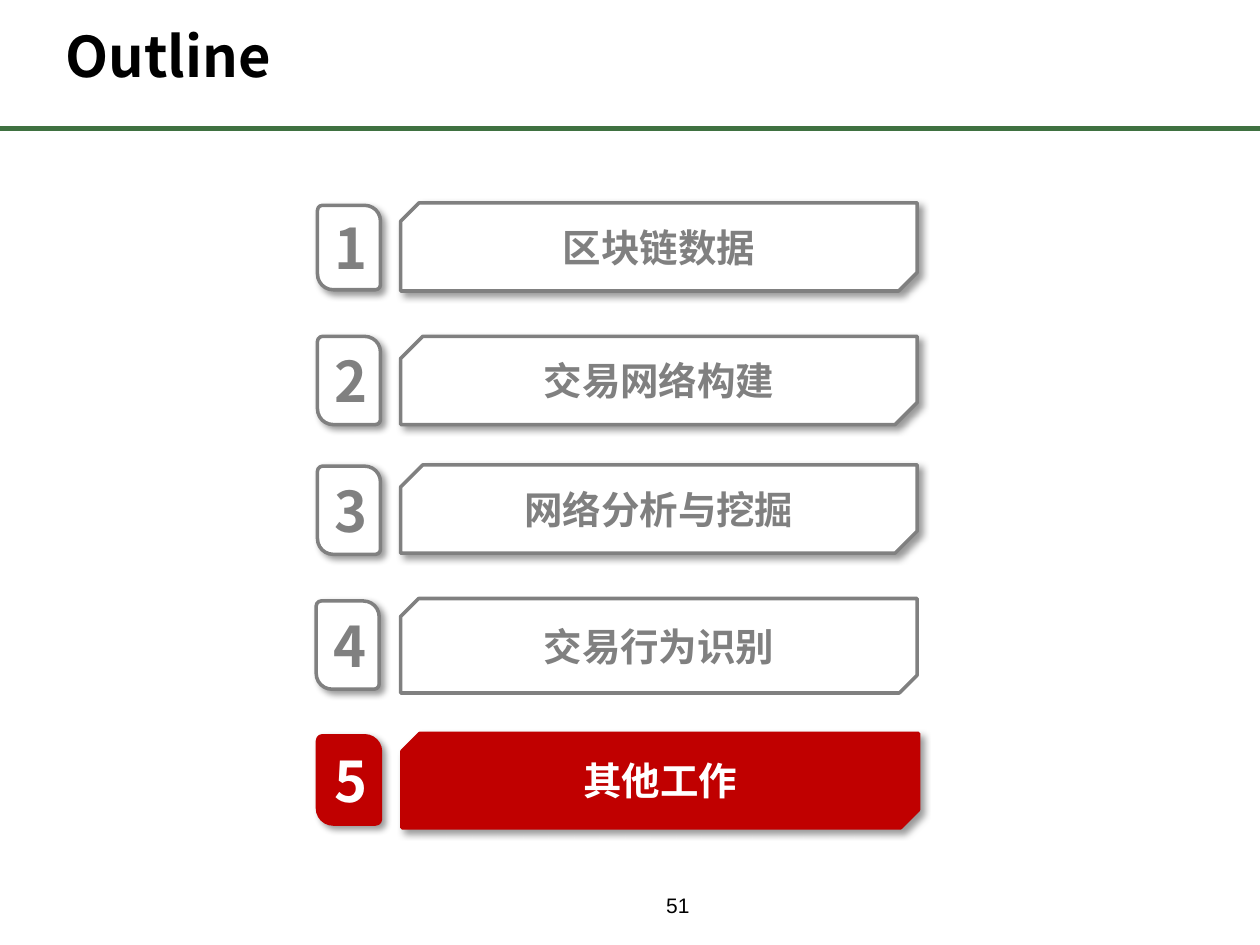
from lxml import etree
from pptx import Presentation
from pptx import util as u
from pptx.dml.color import RGBColor
from pptx.enum import shapes, text
from pptx.oxml import ns

FONT = "Noto Sans CJK SC"
GREY, RED, WHITE = "808080", "C00000", "FFFFFF"
TITLE, PAGE = "Outline", "51"
BADGE, BAR = 0.5, 4.1
ITEMS = [
    dict(name="区块链数据", tag=(2.52, 1.63, 0.67), bar=(3.18, 1.61, 0.7), snip=0.21),
    dict(name="交易网络构建", tag=(2.52, 2.67, 0.7), bar=(3.18, 2.67, 0.7), snip=0.25),
    dict(name="网络分析与挖掘", tag=(2.52, 3.7, 0.7), bar=(3.18, 3.69, 0.7), snip=0.25),
    dict(name="交易行为识别", tag=(2.51, 4.77, 0.7), bar=(3.18, 4.75, 0.75), snip=0.19, flat=True),
    dict(name="其他工作", tag=(2.52, 5.84, 0.7), bar=(3.19, 5.82, 0.75), snip=0.19, hot=True),
]


def color(code):
    return RGBColor.from_string(code)


def write(frame, words, size, code, font=FONT, bold=True, align=None, lead=None):
    para = frame.paragraphs[0]
    para.alignment = align
    if lead:
        para.line_spacing = u.Pt(lead)
    run = para.add_run()
    run.text = words
    run.font.size = u.Pt(size)
    run.font.bold = bold
    run.font.name = font
    run.font.color.rgb = color(code)
    props = run.font._element
    etree.SubElement(props, ns.qn("a:ea")).set("typeface", font)


def label(slide, box, words, inset, **style):
    item = slide.shapes.add_textbox(*map(u.Inches, box))
    frame = item.text_frame
    frame.word_wrap = True
    frame.vertical_anchor = text.MSO_ANCHOR.BOTTOM
    frame.margin_left = frame.margin_right = u.Inches(inset)
    frame.margin_top = frame.margin_bottom = u.Inches(inset / 2)
    write(frame, words, **style)


def shade(shape):
    glow = shape._element.spPr.find(ns.qn("a:effectLst"))
    drop = etree.SubElement(glow, ns.qn("a:outerShdw"), blurRad=str(u.Pt(4)),
                            dist=str(u.Pt(3)), dir="2700000", algn="tl", rotWithShape="0")
    tint = etree.SubElement(drop, ns.qn("a:srgbClr"), val="000000")
    etree.SubElement(tint, ns.qn("a:alpha"), val="40000")


def panel(slide, kind, place, width, bends, words, size, hot, flat):
    left, top, height = place
    shape = slide.shapes.add_shape(kind, *map(u.Inches, (left, top, width, height)))
    for k, bend in enumerate(bends):
        shape.adjustments[k] = bend
    shape.fill.solid()
    shape.fill.fore_color.rgb = color(RED if hot else WHITE)
    shape.line.color.rgb = color(RED if hot else GREY)
    shape.line.width = u.Pt(2)
    shape.shadow.inherit = False
    if not flat:
        shade(shape)
    frame = shape.text_frame
    frame.word_wrap = True
    frame.vertical_anchor = text.MSO_ANCHOR.MIDDLE
    write(frame, words, size, WHITE if hot else GREY, align=text.PP_ALIGN.CENTER)


def main():
    deck = Presentation()
    deck.slide_width, deck.slide_height = u.Inches(10), u.Inches(7.5)
    slide = deck.slides.add_slide(deck.slide_layouts[6])

    rule = slide.shapes.add_connector(shapes.MSO_CONNECTOR.STRAIGHT, 0, u.Inches(1.02),
                                      u.Inches(10), u.Inches(1.02))
    rule.line.color.rgb = color("3F7141")
    rule.line.width = u.Pt(3)
    etree.SubElement(rule._element.spPr, ns.qn("a:effectLst"))

    label(slide, (0.42, 0.17, 9.06, 0.58), TITLE, 0.1, size=32, code="000000", lead=36)
    label(slide, (4.88, 7, 1, 0.28), PAGE, 0, size=12, code="000000", font="Arial",
          bold=False, align=text.PP_ALIGN.CENTER, lead=20)

    kinds = shapes.MSO_SHAPE
    for num, item in enumerate(ITEMS, 1):
        hot, flat = item.get("hot", False), item.get("flat", False)
        panel(slide, kinds.SNIP_2_DIAG_RECTANGLE, item["bar"], BAR,
              (item["snip"], 0), item["name"], 22, hot, flat)
        panel(slide, kinds.ROUND_2_DIAG_RECTANGLE, item["tag"], BADGE,
              (0.08, 0.25), str(num), 32, hot, False)

    deck.save("out.pptx")


if __name__ == "__main__":
    main()
